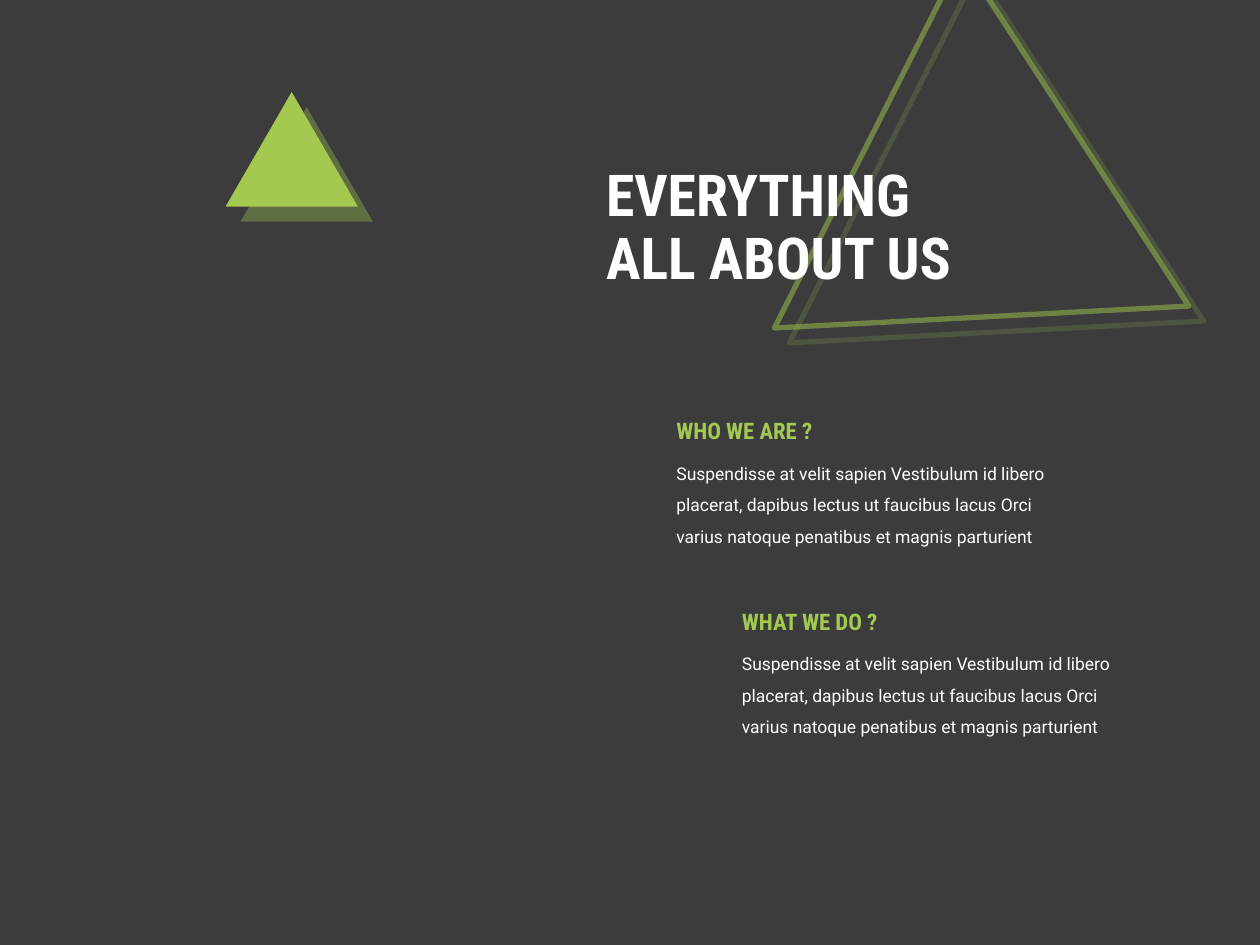
import pptx
import pptx.util
import pptx.oxml
import pptx.oxml.ns
import pptx.dml.color
import pptx.enum.shapes
import pptx.enum.text

INK = {"back": "3C3C3C", "lime": "A3C951", "white": "FFFFFF"}
TITLE = "EVERYTHING\vALL ABOUT US"
BLURB = ("Suspendisse at velit sapien Vestibulum id libero placerat, "
         "dapibus lectus ut faucibus lacus Orci varius natoque penatibus "
         "et magnis parturient")
PARTS = [("WHO WE ARE ?", BLURB), ("WHAT WE DO ?", BLURB)]
WIDE, HIGH = 10, 7.5
LEFT, TOP = 0.527, 0.435
STEP, DROP = 0.052, 0.201
GAP = 0.037

FONTS = {
    "title": {"name": "Roboto Condensed", "size": 33, "bold": True, "ink": "white"},
    "head": {"name": "Roboto Condensed", "size": 13, "bold": True, "ink": "lime"},
    "body": {"name": "Roboto", "size": 10, "bold": False, "ink": "white"},
}
FRAME = {"word_wrap": True,
         "auto_size": pptx.enum.text.MSO_AUTO_SIZE.SHAPE_TO_FIT_TEXT}
HEAD = {"frame": FRAME, "para": {}}
BODY = {"frame": FRAME, "para": {"line_spacing": 1.5}}
MAIN = {
    "frame": {"word_wrap": True,
              "auto_size": pptx.enum.text.MSO_AUTO_SIZE.NONE,
              "vertical_anchor": pptx.enum.text.MSO_ANCHOR.MIDDLE},
    "para": {"line_spacing": 0.9, "alignment": pptx.enum.text.PP_ALIGN.LEFT},
}


def tint(key):
    return pptx.dml.color.RGBColor.from_string(INK[key])


def area(x, y, w, h):
    shares = (x * WIDE, y * HIGH, w * WIDE, h * HIGH)
    return [pptx.util.Inches(round(n, 2)) for n in shares]


def apply(item, values):
    for key, value in values.items():
        setattr(item, key, value)


def write(shape, text, style, form):
    frame = shape.text_frame
    frame.text = text
    apply(frame, form["frame"])
    para = frame.paragraphs[0]
    apply(para, form["para"])
    for run in para.runs:
        look = dict(FONTS[style])
        run.font.color.rgb = tint(look.pop("ink"))
        look["size"] = pptx.util.Pt(look["size"])
        apply(run.font, look)


def fade(color, share):
    mark = pptx.oxml.parse_xml(
        f'<a:alpha {pptx.oxml.ns.nsdecls("a")} val="{share * 1000}"/>')
    color.append(mark)


def peak(slide, box):
    kind = pptx.enum.shapes.MSO_SHAPE.ISOSCELES_TRIANGLE
    shape = slide.shapes.add_shape(kind, *area(*box))
    shape.fill.background()
    shape.line.fill.background()
    return shape


def shade(shape):
    dist = pptx.util.Pt(12.1)
    shape._element.spPr.append(pptx.oxml.parse_xml(
        f'<a:effectLst {pptx.oxml.ns.nsdecls("a")}>'
        f'<a:outerShdw blurRad="0" dist="{dist}" dir="2700000" algn="tl" rotWithShape="0">'
        f'<a:srgbClr val="{INK["lime"]}"><a:alpha val="35000"/></a:srgbClr>'
        '</a:outerShdw></a:effectLst>'))


def main():
    deck = pptx.Presentation()
    deck.slide_width = pptx.util.Inches(WIDE)
    deck.slide_height = pptx.util.Inches(HIGH)
    slide = deck.slides.add_slide(deck.slide_layouts[5])
    slide.background.fill.solid()
    slide.background.fill.fore_color.rgb = tint("back")

    ring = peak(slide, (0.569, 0.053, 0.33, 0.38))
    ring.rotation = 236.9
    ring.line.color.rgb = tint("lime")
    ring.line.width = pptx.util.Pt(3)
    fade(ring.line._ln.find(".//" + pptx.oxml.ns.qn("a:srgbClr")), 50)
    shade(ring)

    title = slide.shapes.title
    spot = area(0.471, 0.137, 0.422, 0.211)
    apply(title, dict(zip(("left", "top", "width", "height"), spot)))
    write(title, TITLE, "title", MAIN)
    ring._element.addnext(title._element)

    cone = peak(slide, (0.179, 0.097, 0.105, 0.121))
    cone.fill.solid()
    cone.fill.fore_color.rgb = tint("lime")
    shade(cone)

    for row, (head, body) in enumerate(PARTS):
        x, y = LEFT + row * STEP, TOP + row * DROP
        text = slide.shapes.add_textbox(*area(x, y + GAP, 0.338, 0.113))
        write(text, body, "body", BODY)
        label = slide.shapes.add_textbox(*area(x, y, 0.184, 0.043))
        write(label, head, "head", HEAD)

    deck.save("out.pptx")


if __name__ == "__main__":
    main()
